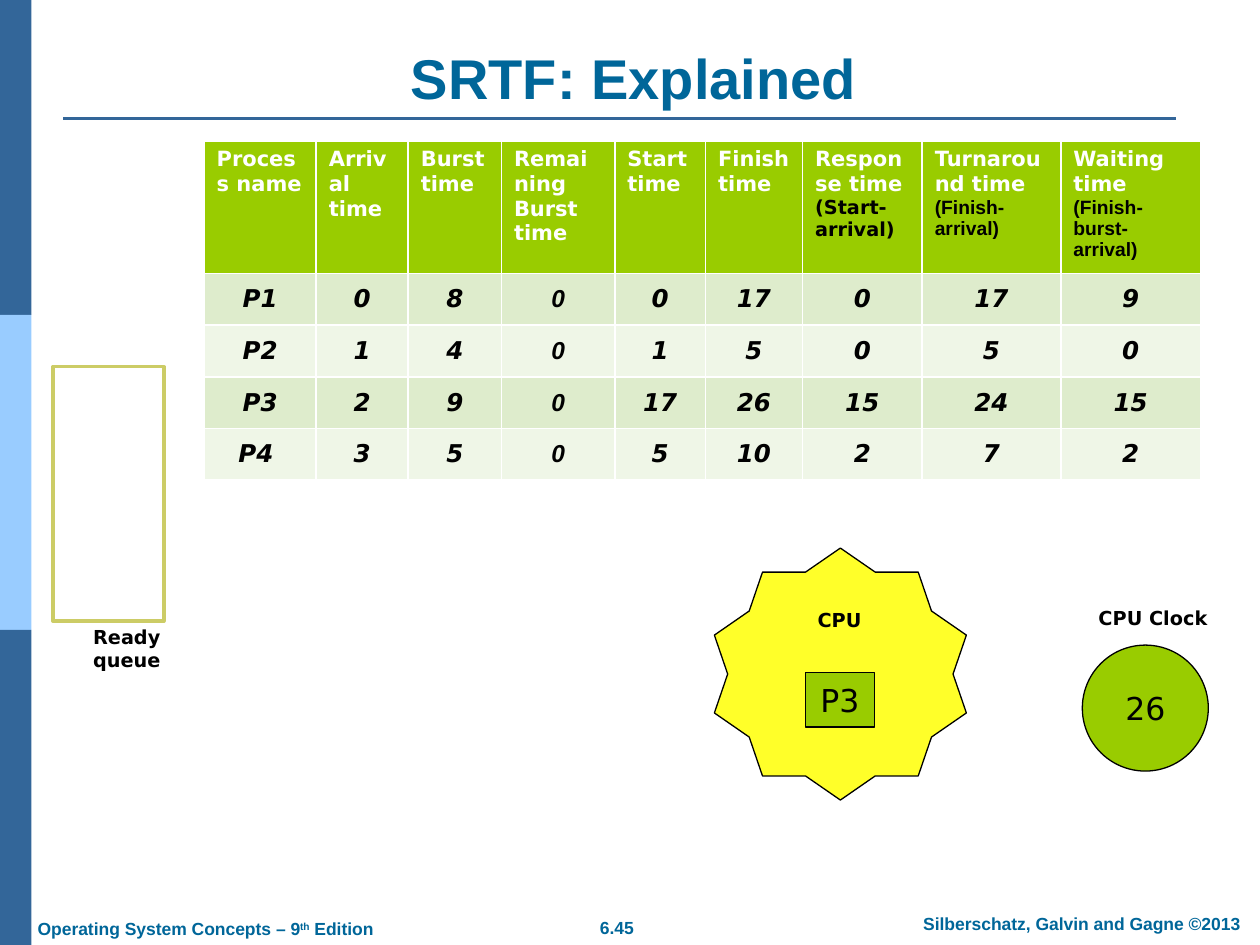
import dataclasses

import lxml.etree
import pptx
import pptx.dml.color
import pptx.enum.shapes
import pptx.enum.text
import pptx.oxml.ns
import pptx.util

Inches = pptx.util.Inches
SHAPES = pptx.enum.shapes.MSO_SHAPE
ALIGN = pptx.enum.text.PP_ALIGN
ANCHOR = pptx.enum.text.MSO_ANCHOR


@dataclasses.dataclass(frozen=True)
class Theme:
    """Colours, fonts and type sizes of the slide."""

    heading: str = "006699"
    navy: str = "336699"
    sky: str = "99CCFF"
    green: str = "99CC00"
    bands: tuple = ("DEECCC", "EFF6E7")
    queue: str = "CCCC66"
    yellow: str = "FFFF29"
    white: str = "FFFFFF"
    black: str = "000000"
    sans: str = "Arial"
    body: str = "DejaVu Sans"
    title_size: int = 32
    value_size: int = 18
    cell_size: int = 14
    header_size: int = 12
    label_size: int = 11
    footer_size: int = 10


THEME = Theme()

HEADERS = [
    ("Process name",), ("Arrival time",), ("Burst time",),
    ("Remaining Burst time",), ("Start time",), ("Finish time",),
    ("Response time", "(Start-arrival)", THEME.body),
    ("Turnaround time", "(Finish-arrival)", THEME.sans),
    ("Waiting time", "(Finish-burst-arrival)", THEME.sans),
]
PROCESSES = [
    ("P1", 0, 8, 0, 0, 17, 0, 17, 9),
    ("P2", 1, 4, 0, 1, 5, 0, 5, 0),
    ("P3", 2, 9, 0, 17, 26, 15, 24, 15),
    ("P4 ", 3, 5, 0, 5, 10, 2, 7, 2),
]
REMAINING_COLUMN = 3
COLUMN_WIDTHS = [0.89, 0.73, 0.74, 0.9, 0.72, 0.77, 0.95, 1.1, 1.11]
HEADER_HEIGHT, ROW_HEIGHT = 1.02, 0.41


def rgb(code):
    """Turn a hex code into a colour."""
    return pptx.dml.color.RGBColor.from_string(code)


def style(paragraph, size, font, color, bold=True, italic=False, align=None):
    """Format every run of a paragraph."""
    paragraph.alignment = align
    for run in paragraph.runs:
        run.font.size = pptx.util.Pt(size)
        run.font.name = font
        run.font.color.rgb = rgb(color)
        run.font.bold = bold
        run.font.italic = italic


def add_figure(slide, kind, box, fill, line=None, width=0.75, text=None):
    """Draw a filled shape with an optional outline and centred value."""
    figure = slide.shapes.add_shape(kind, *map(Inches, box))
    figure.shadow.inherit = False
    figure.fill.solid()
    figure.fill.fore_color.rgb = rgb(fill)
    if line:
        figure.line.color.rgb = rgb(line)
        figure.line.width = pptx.util.Pt(width)
    else:
        figure.line.fill.background()
    if text:
        frame = figure.text_frame
        frame.text = text
        frame.word_wrap = False
        frame.vertical_anchor = ANCHOR.MIDDLE
        style(frame.paragraphs[0], THEME.value_size, THEME.body, THEME.black,
              bold=False, align=ALIGN.CENTER)


def add_label(slide, box, text, size=THEME.label_size, font=THEME.body,
              color=THEME.black, align=ALIGN.LEFT, wrap=False):
    """Place a bold one-line label and return its paragraph."""
    frame = slide.shapes.add_textbox(*map(Inches, box)).text_frame
    frame.word_wrap = wrap
    frame.text = text
    style(frame.paragraphs[0], size, font, color, align=align)
    return frame.paragraphs[0]


def add_sidebar(slide, box):
    """Stack three equal colour bands down the left edge."""
    left, top, width, height = box
    band = height / 3
    for index, color in enumerate((THEME.navy, THEME.sky, THEME.navy)):
        add_figure(slide, SHAPES.RECTANGLE,
                   (left, top + index * band, width, band), color)


def add_heading(slide, box):
    """Fill the title placeholder and rule a line under it."""
    left, top, width, height = box
    title = slide.shapes.title
    title.left, title.top, title.width, title.height = map(Inches, box)
    frame = title.text_frame
    frame.text = "SRTF: Explained"
    frame.auto_size = pptx.enum.text.MSO_AUTO_SIZE.NONE
    frame.vertical_anchor = ANCHOR.BOTTOM
    style(frame.paragraphs[0], THEME.title_size, THEME.sans, THEME.heading,
          align=ALIGN.CENTER)
    rule_top = Inches(top + height + 0.01)
    rule = slide.shapes.add_connector(
        pptx.enum.shapes.MSO_CONNECTOR.STRAIGHT,
        Inches(0.5), rule_top, Inches(9.33), rule_top)
    rule.line.color.rgb = rgb(THEME.navy)
    rule.line.width = pptx.util.Pt(1.5)
    lxml.etree.SubElement(rule._element.spPr,
                          pptx.oxml.ns.qn("a:effectLst"))


def add_footer(slide, box):
    """Set the book, page number and authors along the bottom edge."""
    left, top, width, height = box
    look = dict(size=THEME.footer_size, font=THEME.sans, color=THEME.heading)
    add_label(slide, (left + 4.45, top + 0.03, 0.49, height), "6.45",
              align=ALIGN.CENTER, **look)
    add_label(slide, (left + width - 2.97, top, 2.97, height),
              "Silberschatz, Galvin and Gagne ©2013",
              align=ALIGN.CENTER, wrap=True, **look)
    book = add_label(slide, (left, top + 0.04, 2.89, height),
                     "Operating System Concepts – 9", **look)
    for text in ("th", " Edition"):
        book.add_run().text = text
    style(book, THEME.footer_size, THEME.sans, THEME.heading,
          align=ALIGN.LEFT)
    book.runs[1].font._element.set("baseline", "30000")


def fill_cell(cell, color):
    """Give a table cell its own fill."""
    cell.fill.solid()
    cell.fill.fore_color.rgb = rgb(color)


def add_schedule(slide, box):
    """Build the table of process times."""
    table = slide.shapes.add_table(len(PROCESSES) + 1, len(HEADERS),
                                   *map(Inches, box)).table
    for column, width in zip(table.columns, COLUMN_WIDTHS):
        column.width = Inches(width)
    for index, row in enumerate(table.rows):
        row.height = Inches(ROW_HEIGHT if index else HEADER_HEIGHT)
    for column, (name, *formula) in enumerate(HEADERS):
        cell = table.cell(0, column)
        fill_cell(cell, THEME.green)
        cell.text_frame.text = name
        style(cell.text_frame.paragraphs[0], THEME.header_size, THEME.body,
              THEME.white)
        if formula:
            text, font = formula
            detail = cell.text_frame.add_paragraph()
            detail.text = text
            style(detail, THEME.label_size, font, THEME.black)
    for row, process in enumerate(PROCESSES, start=1):
        for column, value in enumerate(process):
            cell = table.cell(row, column)
            fill_cell(cell, THEME.bands[(row - 1) % 2])
            cell.vertical_anchor = ANCHOR.MIDDLE
            cell.text_frame.text = str(value)
            font = THEME.sans if column == REMAINING_COLUMN else THEME.body
            style(cell.text_frame.paragraphs[0], THEME.cell_size, font,
                  THEME.black, italic=True, align=ALIGN.CENTER)


def add_ready_queue(slide, box):
    """Draw the empty ready queue with its label below."""
    left, top, width, height = box
    add_figure(slide, SHAPES.RECTANGLE, box, THEME.white, THEME.queue, 2)
    add_label(slide, (left + 0.22, top + height - 0.02, 1.32, 0.29),
              "Ready queue")


def add_cpu(slide, box):
    """Draw the CPU star holding the running process."""
    left, top, width, height = box
    add_figure(slide, SHAPES.STAR_10_POINT, box, THEME.yellow, THEME.black)
    add_label(slide, (left + 0.72, top + 0.43, 0.55, 0.29), "CPU")
    add_figure(slide, SHAPES.RECTANGLE, (left + 0.72, top + 0.99, 0.55, 0.43),
               THEME.green, THEME.black, text="P3")


def add_clock(slide, box):
    """Draw the CPU clock with its label above."""
    left, top, width, height = box
    add_label(slide, (left + 0.03, top - 0.36, 1.07, 0.29), "CPU Clock")
    add_figure(slide, SHAPES.OVAL, box, THEME.green, THEME.black, text="26")


def main():
    """Build the slide and save it."""
    deck = pptx.Presentation()
    deck.slide_width, deck.slide_height = Inches(10), Inches(7.5)
    slide = deck.slides.add_slide(deck.slide_layouts[5])
    add_sidebar(slide, (0, 0, 0.25, 7.5))
    add_heading(slide, (0.88, 0.3, 8.3, 0.63))
    add_footer(slide, (0.2, 7.2, 9.87, 0.27))
    add_schedule(slide, (1.62, 1.12, 7.91, 2.66))
    add_ready_queue(slide, (0.42, 2.91, 0.88, 2.02))
    add_cpu(slide, (5.67, 4.35, 2, 2))
    add_clock(slide, (8.59, 5.12, 1, 1))
    deck.save("out.pptx")


if __name__ == "__main__":
    main()
